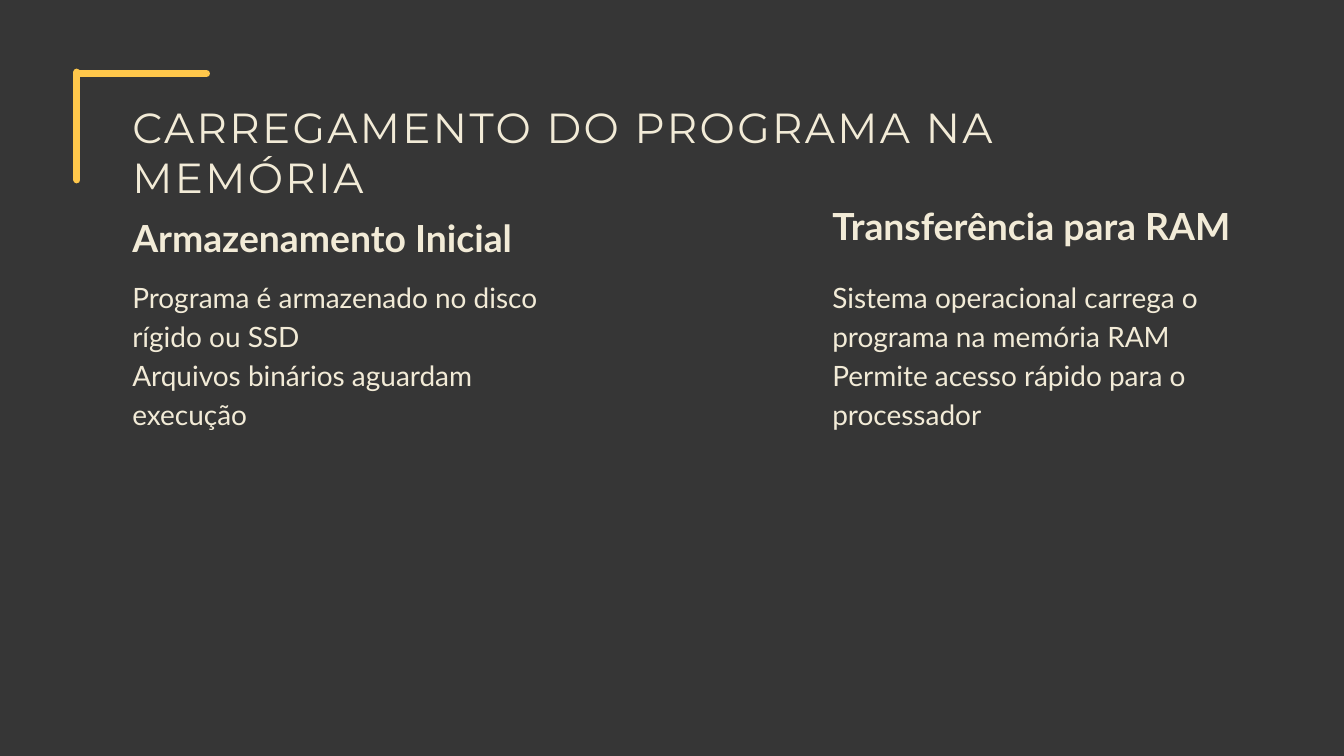
from lxml import etree
from pptx import Presentation
from pptx import util as u
from pptx.dml.color import RGBColor
from pptx.enum import shapes, text
from pptx.oxml.ns import qn

PX = 9525
CHARCOAL = RGBColor(0x36, 0x36, 0x36)
AMBER = RGBColor(0xFF, 0xC7, 0x4B)
CREAM = RGBColor(0xF2, 0xEB, 0xD7)

TITLE = {"name": "Montserrat", "size": u.Pt(45)}
HEADING = {"name": "Lato", "size": u.Pt(40), "bold": True}
BODY = {"name": "Lato", "size": u.Pt(30)}
FRAME = {
    "margin_left": 0,
    "margin_top": 0,
    "margin_right": 0,
    "margin_bottom": 0,
    "word_wrap": True,
    "auto_size": text.MSO_AUTO_SIZE.SHAPE_TO_FIT_TEXT,
}
BODY_TOP = 392
COLUMNS = [
    (189, 297, 613, 628, "Armazenamento Inicial",
     ["Programa é armazenado no disco rígido ou SSD",
      "Arquivos binários aguardam execução"]),
    (1189, 279, 622, 605, "Transferência para RAM",
     ["Sistema operacional carrega o programa na memória RAM",
      "Permite acesso rápido para o processador"]),
]


def px(*lengths):
    return [u.Emu(length * PX) for length in lengths]


def apply(target, formats):
    for key, value in formats.items():
        setattr(target, key, value)


def add_corner_line(slide, *ends):
    stroke = slide.shapes.add_connector(shapes.MSO_CONNECTOR.STRAIGHT, *px(*ends))
    stroke.line.color.rgb = AMBER
    stroke.line.width = u.Pt(7.5)
    properties = stroke._element.spPr
    properties.find(qn("a:ln")).set("cap", "rnd")
    etree.SubElement(properties, qn("a:effectLst"))


def add_copy(slide, box, lines, font, leading, tracking=0):
    frame = slide.shapes.add_textbox(*px(*box)).text_frame
    apply(frame, FRAME)
    frame.text = "\n".join(lines)
    for paragraph in frame.paragraphs:
        paragraph.line_spacing = u.Pt(leading)
        for run in paragraph.runs:
            apply(run.font, font)
            run.font.color.rgb = CREAM
            if tracking:
                run._r.get_or_add_rPr().set("spc", str(tracking))


def add_column(slide, left, heading_top, heading_width, body_width, heading, body):
    add_copy(slide, (left, heading_top, heading_width, 71), [heading], HEADING, 56)
    add_copy(slide, (left, BODY_TOP, body_width, 278), body, BODY, 42)


def main():
    deck = Presentation()
    deck.slide_width, deck.slide_height = px(1920, 1080)
    slide = deck.slides.add_slide(deck.slide_layouts[6])
    slide.background.fill.solid()
    slide.background.fill.fore_color.rgb = CHARCOAL

    add_corner_line(slide, 295, 105, 110, 105)
    add_corner_line(slide, 110, 103, 110, 257)
    add_copy(slide, (189, 145, 1542, 72),
             ["CARREGAMENTO DO PROGRAMA NA MEMÓRIA"], TITLE, 54, tracking=260)
    for column in COLUMNS:
        add_column(slide, *column)

    deck.save("out.pptx")


if __name__ == "__main__":
    main()
